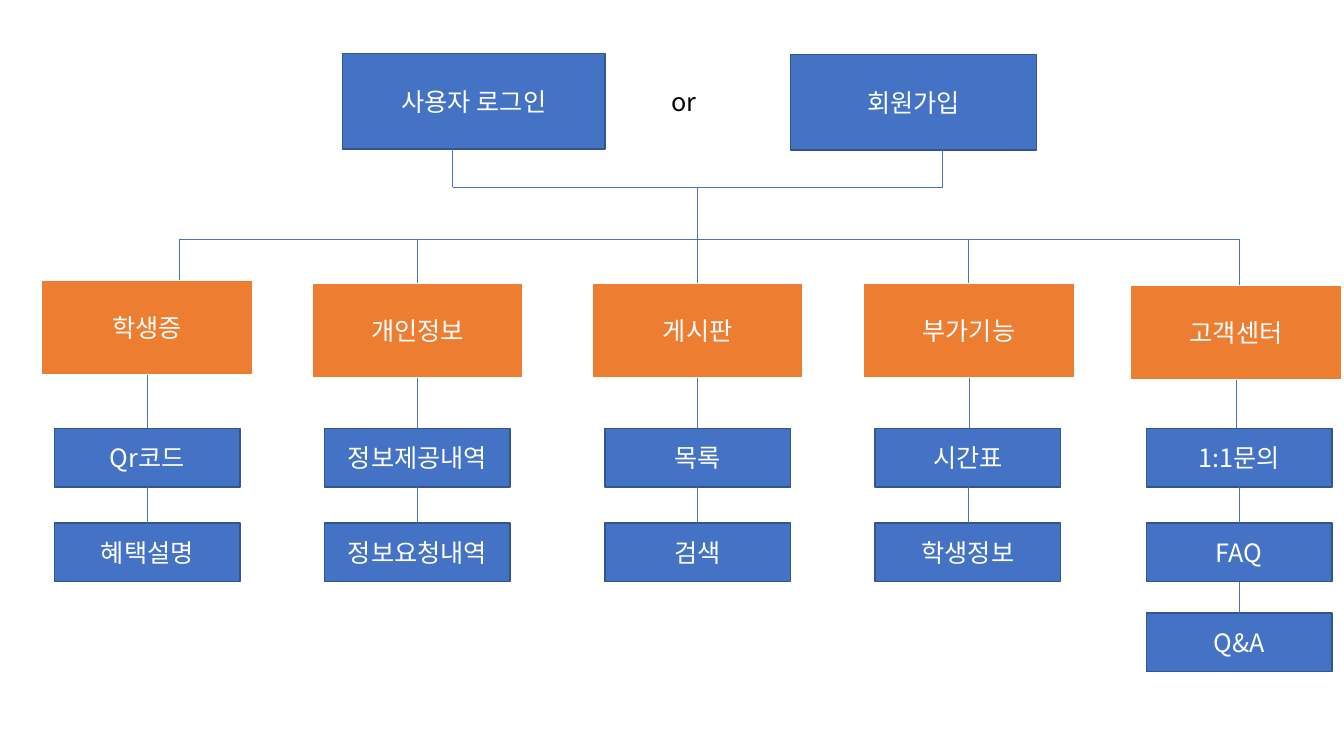
from dataclasses import dataclass

from lxml.etree import SubElement
from pptx import Presentation
from pptx.dml.color import RGBColor
from pptx.enum.shapes import MSO_CONNECTOR, MSO_SHAPE
from pptx.enum.text import MSO_ANCHOR, MSO_AUTO_SIZE, PP_ALIGN
from pptx.oxml.ns import qn
from pptx.util import Inches, Pt

# Content: entry boxes as (label, left, top, width, stem x)
ENTRIES = [
    ("사용자 로그인", 3.4, 0.53, 2.6, 4.49),
    ("회원가입", 7.84, 0.54, 2.44, 9.35),
]
ENTRY_CHOICE = "or"

# Menus: (label, left, top, bus drop x, item centre x, items)
MENUS = [
    ("학생증", 0.41, 2.78, 1.78, 1.46, ["Qr코드", "혜택설명"]),
    ("개인정보", 3.09, 2.81, 4.14, 4.14, ["정보제공내역", "정보요청내역"]),
    ("게시판", 5.87, 2.81, 6.92, 6.92, ["목록", "검색"]),
    ("부가기능", 8.56, 2.81, 9.6, 9.6, ["시간표", "학생정보"]),
    ("고객센터", 11.21, 2.83, 12.29, 12.29, ["1:1문의", "FAQ", "Q&A"]),
]

# Layout in inches
ENTRY_HEIGHT = 0.95
MENU_WIDTH, MENU_HEIGHT = 2.1, 0.94
ITEM_WIDTH, ITEM_HEIGHT = 1.84, 0.58
ITEM_TOPS = [4.25, 5.19, 6.08]
JOIN_Y, BUS_Y, TRUNK_X = 1.86, 2.37, 6.92


@dataclass(frozen=True)
class Theme:
    font: str = "Noto Sans CJK KR"
    size: float = 18
    blue: str = "4472C4"
    blue_edge: str = "325491"
    orange: str = "ED7D31"
    white: str = "FFFFFF"
    black: str = "000000"
    blue_edge_width: float = 1
    menu_edge_width: float = 1.5
    connector_width: float = 0.5


THEME = Theme()


def write(frame, label, color):
    run = frame.paragraphs[0].add_run()
    run.text = label
    run.font.size = Pt(THEME.size)
    run.font.name = THEME.font
    run.font.color.rgb = RGBColor.from_string(color)
    east_asian = SubElement(run.font._element, qn("a:ea"))
    east_asian.set("typeface", THEME.font)


def add_box(slide, label, left, top, width, height, fill, edge, edge_width):
    box = slide.shapes.add_shape(
        MSO_SHAPE.RECTANGLE, Inches(left), Inches(top), Inches(width), Inches(height))
    box.shadow.inherit = False
    box.fill.solid()
    box.fill.fore_color.rgb = RGBColor.from_string(fill)
    box.line.color.rgb = RGBColor.from_string(edge)
    box.line.width = Pt(edge_width)
    frame = box.text_frame
    frame.word_wrap = True
    frame.vertical_anchor = MSO_ANCHOR.MIDDLE
    frame.paragraphs[0].alignment = PP_ALIGN.CENTER
    write(frame, label, THEME.white)


def add_blue_box(slide, label, left, top, width, height):
    add_box(slide, label, left, top, width, height,
            THEME.blue, THEME.blue_edge, THEME.blue_edge_width)


def add_line(slide, x1, y1, x2, y2):
    line = slide.shapes.add_connector(
        MSO_CONNECTOR.STRAIGHT, Inches(x1), Inches(y1), Inches(x2), Inches(y2))
    line.line.color.rgb = RGBColor.from_string(THEME.blue)
    line.line.width = Pt(THEME.connector_width)
    SubElement(line._element.spPr, qn("a:effectLst"))


def add_entries(slide):
    for label, left, top, width, stem_x in ENTRIES:
        add_blue_box(slide, label, left, top, width, ENTRY_HEIGHT)
        add_line(slide, stem_x, top + ENTRY_HEIGHT, stem_x, JOIN_Y)

    choice = slide.shapes.add_textbox(Inches(6.56), Inches(0.81), Inches(1.03), Inches(0.4))
    choice.text_frame.word_wrap = True
    choice.text_frame.auto_size = MSO_AUTO_SIZE.SHAPE_TO_FIT_TEXT
    write(choice.text_frame, ENTRY_CHOICE, THEME.black)


def add_trunk(slide):
    add_line(slide, ENTRIES[0][-1], JOIN_Y, ENTRIES[-1][-1], JOIN_Y)
    add_line(slide, TRUNK_X, JOIN_Y, TRUNK_X, BUS_Y)
    add_line(slide, MENUS[0][3], BUS_Y, MENUS[-1][3], BUS_Y)


def add_menu(slide, label, left, top, drop_x, item_x, items):
    add_box(slide, label, left, top, MENU_WIDTH, MENU_HEIGHT,
            THEME.orange, THEME.white, THEME.menu_edge_width)
    add_line(slide, drop_x, BUS_Y, drop_x, top)

    # Each item hangs from the box above it
    stem_x, above = left + MENU_WIDTH / 2, top + MENU_HEIGHT
    for item, item_top in zip(items, ITEM_TOPS):
        add_blue_box(slide, item, item_x - ITEM_WIDTH / 2, item_top, ITEM_WIDTH, ITEM_HEIGHT)
        add_line(slide, stem_x, above, stem_x, item_top)
        stem_x, above = item_x, item_top + ITEM_HEIGHT


def main():
    deck = Presentation()
    deck.slide_width, deck.slide_height = Inches(13.33), Inches(7.5)
    slide = deck.slides.add_slide(deck.slide_layouts[6])
    add_entries(slide)
    add_trunk(slide)
    for menu in MENUS:
        add_menu(slide, *menu)
    deck.save("out.pptx")


if __name__ == "__main__":
    main()
